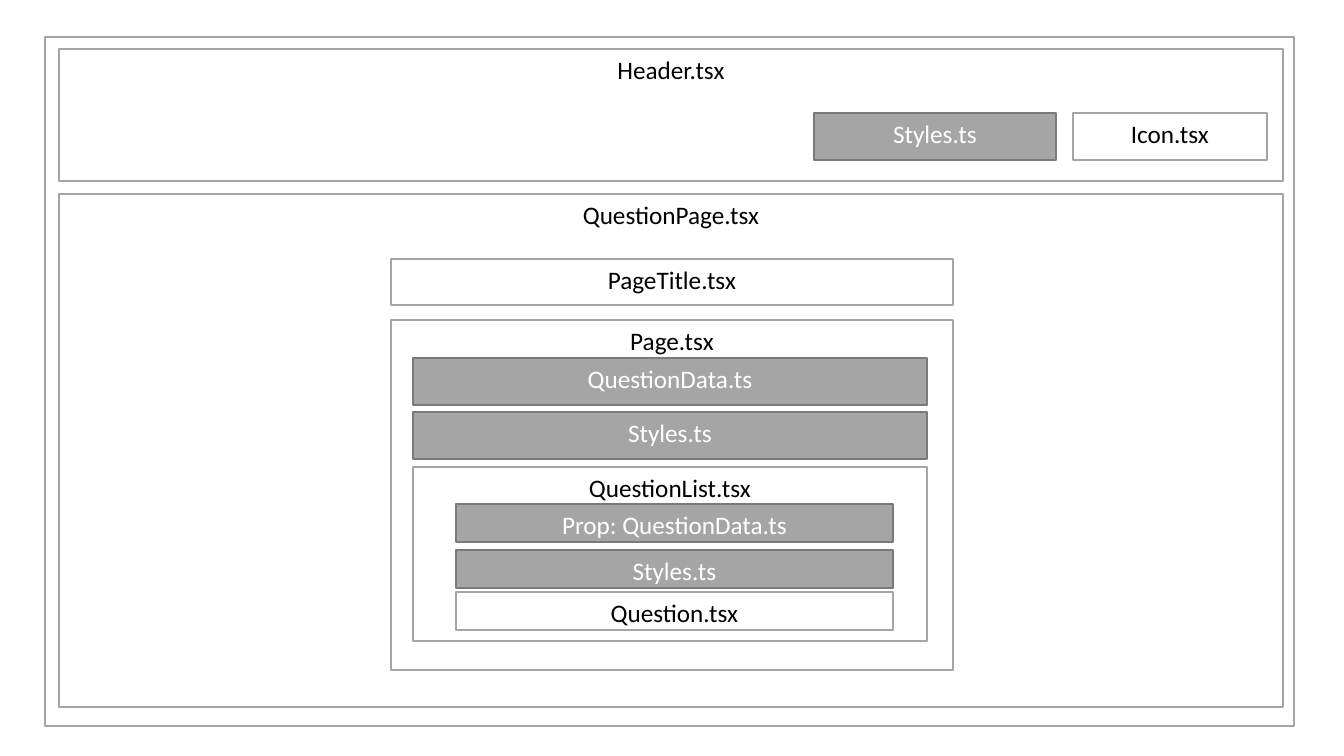
"""Build a slide showing the nested component files of a question page."""
import pptx
import pptx.dml.color
import pptx.enum.shapes
import pptx.enum.text
import pptx.util

SLIDE_SIZE = (1344, 756)
EMU_PER_PX = pptx.util.Inches(13 + 1 / 3) / SLIDE_SIZE[0]
FONT, TEXT_SIZE, LINE_WIDTH = "Calibri", 18, 1

STYLES = {
    "component": {"fill": "FFFFFF", "line": "A5A5A5", "text": "000000"},
    "module": {"fill": "A5A5A5", "line": "7A7A7A", "text": "FFFFFF"},
}

# Each column: left, width, then its boxes as (label, top, height).
COLUMNS = [
    (45, 1249, [("", 37, 689)]),
    (59, 1224, [("Header.tsx", 49, 132), ("QuestionPage.tsx", 194, 513)]),
    (814, 242, [("Styles.ts", 113, 47)]),
    (1073, 194, [("Icon.tsx", 113, 47)]),
    (391, 562, [("PageTitle.tsx", 259, 46), ("Page.tsx", 320, 350)]),
    (413, 514, [("QuestionData.ts", 358, 47), ("Styles.ts", 412, 47),
                ("QuestionList.tsx", 467, 174)]),
    (456, 437, [("Prop: QuestionData.ts", 504, 38), ("Styles.ts", 550, 38),
                ("Question.tsx", 592, 38)]),
]


def px(length):
    return pptx.util.Emu(round(length * EMU_PER_PX))


def color(value):
    return pptx.dml.color.RGBColor.from_string(value)


def add_box(page, label, left, top, width, height):
    style = STYLES["module" if label.endswith(".ts") else "component"]
    box = page.shapes.add_shape(
        pptx.enum.shapes.MSO_SHAPE.RECTANGLE, px(left), px(top), px(width), px(height))
    box.shadow.inherit = False
    box.fill.solid()
    box.fill.fore_color.rgb = color(style["fill"])
    box.line.color.rgb = color(style["line"])
    box.line.width = pptx.util.Pt(LINE_WIDTH)
    if not label:
        return
    box.text_frame.vertical_anchor = pptx.enum.text.MSO_ANCHOR.TOP
    para = box.text_frame.paragraphs[0]
    para.alignment = pptx.enum.text.PP_ALIGN.CENTER
    span = para.add_run()
    span.text = label
    span.font.name = FONT
    span.font.size = pptx.util.Pt(TEXT_SIZE)
    span.font.color.rgb = color(style["text"])


def main():
    deck = pptx.Presentation()
    deck.slide_width, deck.slide_height = map(px, SLIDE_SIZE)
    page = deck.slides.add_slide(deck.slide_layouts[6])
    for left, width, boxes in COLUMNS:
        for label, top, height in boxes:
            add_box(page, label, left, top, width, height)
    deck.save("out.pptx")


if __name__ == "__main__":
    main()
